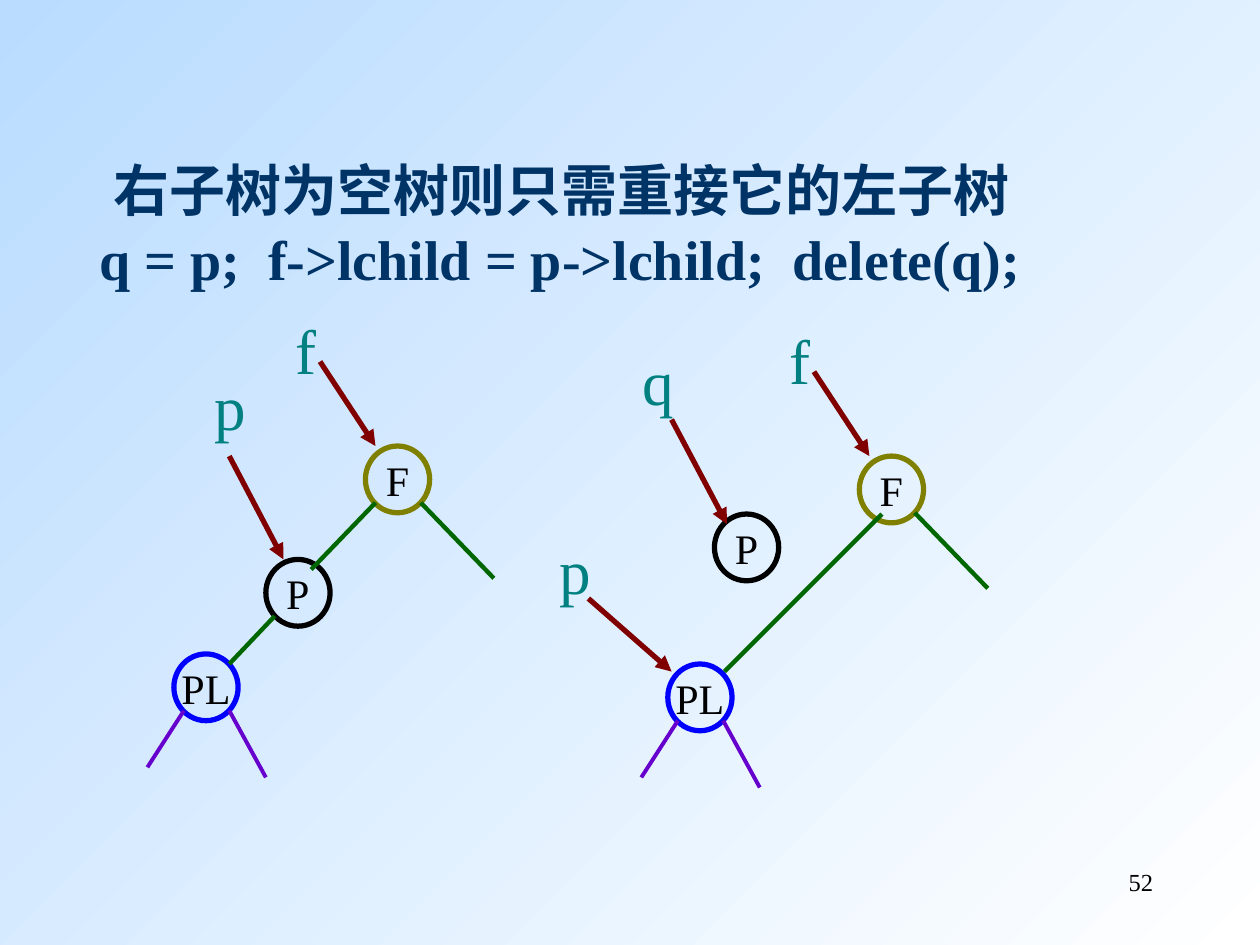
"""Build the slide on deleting a binary search tree node whose right subtree is empty."""
import pptx
import pptx.util
import pptx.dml.color
import pptx.enum.shapes
import pptx.enum.text
import pptx.oxml
import pptx.oxml.ns

Inches = pptx.util.Inches
Pt = pptx.util.Pt
RGB = pptx.dml.color.RGBColor.from_string
ALIGN = pptx.enum.text.PP_ALIGN
SHAPE = pptx.enum.shapes.MSO_SHAPE

COLORS = {
    "sky": "B9DCFF", "white": "FFFFFF", "black": "000000", "navy": "003366",
    "crimson": "A50021", "teal": "008080", "olive": "808000", "blue": "0000FF",
    "purple": "6600CC", "green": "006600", "maroon": "800000",
}


def add_run(p, text, size, color, bold=False):
    r = p.add_run()
    r.text = text
    for name, value in {"name": "Times New Roman", "size": Pt(size), "bold": bold}.items():
        setattr(r.font, name, value)
    r.font.color.rgb = RGB(COLORS[color])


def add_line(start, end, color, width, arrow=False):
    sp = s.shapes.add_connector(pptx.enum.shapes.MSO_CONNECTOR.STRAIGHT,
                                *[Inches(v) for v in (*start, *end)])
    sp.line.color.rgb = RGB(COLORS[color])
    sp.line.width = Pt(width)
    if arrow:
        ln = sp.line._get_or_add_ln()
        pptx.oxml.ns.qn("a:tailEnd")
        tail = ln.makeelement(pptx.oxml.ns.qn("a:tailEnd"), {"type": "triangle"})
        ln.append(tail)
    effects = sp._element.spPr.makeelement(pptx.oxml.ns.qn("a:effectLst"), {})
    sp._element.spPr.append(effects)


prs = pptx.Presentation()
prs.slide_width, prs.slide_height = Inches(10), Inches(7.5)
s = prs.slides.add_slide(prs.slide_layouts[6])

fill = s.background.fill
fill.gradient()
fill.gradient_angle = 315
for stop, color, position in zip(fill.gradient_stops, ("sky", "white"), (0, 1)):
    stop.color.rgb = RGB(COLORS[color])
    stop.position = position

number = s.shapes.add_textbox(Inches(7.17), Inches(6.83), Inches(2.08), Inches(0.5))
number.text_frame.word_wrap = True
p = number.text_frame.paragraphs[0]
p.alignment = ALIGN.RIGHT
add_run(p, "52", 14, "black")

heading = s.shapes.add_textbox(Inches(0.69), Inches(0.83), Inches(7.62), Inches(1.54))
tf = heading.text_frame
tf.word_wrap = False
tf.auto_size = pptx.enum.text.MSO_AUTO_SIZE.SHAPE_TO_FIT_TEXT
p = tf.paragraphs[0]
p.line_spacing = 1.5
add_run(p, " ", 36, "crimson")
add_run(p, "右子树为空树则只需重接它的左子树", 32, "navy", True)
add_run(tf.add_paragraph(), "q = p;  f->lchild = p->lchild;  delete(q);", 32, "navy", True)

trees = [
    {"offset": (0, 0), "p_node": (2.11, 4.44),
     "links": [((2.18, 4.89), (1.82, 5.27)), ((2.98, 3.99), (2.47, 4.52))],
     "pointers": [("p", (1.6, 2.87), (1.82, 3.62), (2.25, 4.44))]},
    {"offset": (3.92, 0.08), "p_node": (5.67, 4.08),
     "links": [((7, 4.08), (5.75, 5.33))],
     "pointers": [("q", (5, 2.67), (5.33, 3.33), (5.77, 4.16)),
                  ("p", (4.34, 4.17), (4.67, 4.75), (5.33, 5.33))]},
]
for tree in trees:
    dx, dy = tree["offset"]
    nodes = [("P", *tree["p_node"], "black"),
             ("PL", 1.38 + dx, 5.19 + dy, "blue"),
             ("F", 2.9 + dx, 3.54 + dy, "olive")]
    lines = [((1.46, 5.64), (1.17, 6.09), "purple", 2.25, False),
             ((1.82, 5.64), (2.11, 6.17), "purple", 2.25, False),
             ((3.34, 3.99), (3.92, 4.59), "green", 2.5, False),
             ((2.54, 2.87), (2.98, 3.54), "maroon", 3, True)]
    labels = [("f", (2.25 + dx, 2.42 + dy), 0.32)]

    for text, x, y, color in nodes:
        sp = s.shapes.add_shape(SHAPE.OVAL, Inches(x), Inches(y), Inches(0.51), Inches(0.53))
        sp.shadow.inherit = False
        sp.fill.background()
        sp.line.color.rgb = RGB(COLORS[color])
        sp.line.width = Pt(3)
        sp.text_frame.word_wrap = False
        sp.text_frame.vertical_anchor = pptx.enum.text.MSO_ANCHOR.MIDDLE
        p = sp.text_frame.paragraphs[0]
        p.alignment = ALIGN.CENTER
        add_run(p, text, 24, "black")

    for (x1, y1), (x2, y2), *style in lines:
        add_line((x1 + dx, y1 + dy), (x2 + dx, y2 + dy), *style)
    for start, end in tree["links"]:
        add_line(start, end, "green", 2.5)
    for text, corner, start, end in tree["pointers"]:
        labels.append((text, corner, 0.45))
        add_line(start, end, "maroon", 3, True)

    for text, (x, y), width in labels:
        sp = s.shapes.add_textbox(Inches(x), Inches(y), Inches(width), Inches(0.7))
        sp.text_frame.word_wrap = text == "f"
        sp.text_frame.auto_size = pptx.enum.text.MSO_AUTO_SIZE.SHAPE_TO_FIT_TEXT
        add_run(sp.text_frame.paragraphs[0], text, 36, "teal")

prs.save("out.pptx")
